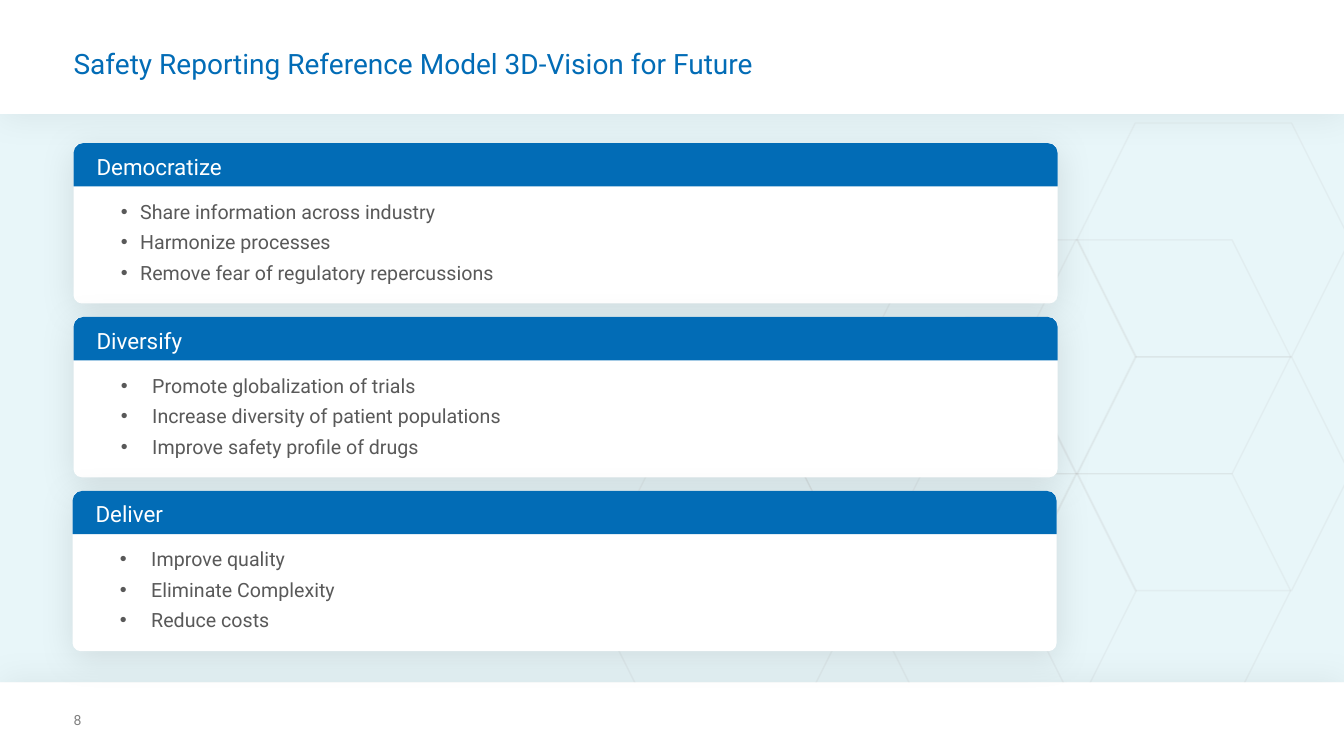
import dataclasses
import pptx
import pptx.util
import pptx.dml.color
import pptx.enum.shapes
import pptx.enum.text
import pptx.oxml
from pptx.oxml import ns

Inches = pptx.util.Inches
Pt = pptx.util.Pt
MSO_SHAPE = pptx.enum.shapes.MSO_SHAPE
ANCHOR = pptx.enum.text.MSO_ANCHOR


@dataclasses.dataclass(frozen=True)
class Theme:
    font: str = "Roboto"
    blue: str = "026CB6"
    pale: str = "E8F6F9"
    white: str = "FFFFFF"
    body: str = "595959"
    muted: str = "808080"
    outline: str = "BFBFBF"
    title_size: int = 20
    heading_size: int = 16
    body_size: int = 14
    number_size: int = 10
    body_leading: float = 21.8


THEME = Theme()

HEXAGONS = [
    (10.09, 2.38), (8.56, 2.38), (7.97, 3.54), (8.56, 4.7),
    (10.09, 4.7), (10.68, 3.54), (5.84, 4.7), (10.68, 1.22),
]
CARDS = [
    ("Democratize", 0.73, 0.19, [
        "Share information across industry",
        "Harmonize processes",
        "Remove fear of regulatory repercussions",
    ]),
    ("Diversify", 0.73, 0.31, [
        "Promote globalization of trials",
        "Increase diversity of patient populations",
        "Improve safety profile of drugs",
    ]),
    ("Deliver", 0.72, 0.31, [
        "Improve quality",
        "Eliminate Complexity",
        "Reduce costs",
    ]),
]
CARD_TOP, CARD_PITCH = 1.42, 1.725


def rgb(value):
    return pptx.dml.color.RGBColor.from_string(value)


def set_all(target, values):
    for name, value in values.items():
        setattr(target, name, value)


def add_shape(s, kind, box, fill, adjustments=()):
    sp = s.shapes.add_shape(kind, *map(Inches, box))
    sp.shadow.inherit = False
    sp.line.fill.background()
    sp.fill.solid()
    sp.fill.fore_color.rgb = rgb(fill)
    for i, value in enumerate(adjustments):
        sp.adjustments[i] = value
    return sp


def add_shadow(sp, opacity, distance, angle):
    effects = sp._element.spPr.find(ns.qn("a:effectLst"))
    effects.append(pptx.oxml.parse_xml(
        f'<a:outerShdw {ns.nsdecls("a")} blurRad="{Pt(24)}" dist="{Pt(distance)}" '
        f'dir="{angle * 60000}" algn="ctr" rotWithShape="0">'
        f'<a:srgbClr val="000000"><a:alpha val="{opacity * 1000}"/></a:srgbClr>'
        '</a:outerShdw>'))


def add_hexagon(s, left, top):
    sp = add_shape(s, MSO_SHAPE.HEXAGON, (left, top, 2.71, 2.32), THEME.pale)
    sp.fill.background()
    set_all(sp.line, {"width": Pt(1)})
    sp.line.color.rgb = rgb(THEME.outline)
    color = sp.line._ln.find(".//" + ns.qn("a:srgbClr"))
    color.append(pptx.oxml.parse_xml(f'<a:alpha {ns.nsdecls("a")} val="14000"/>'))


def set_bullet(p, indent):
    pPr = p._p.get_or_add_pPr()
    pPr.set("marL", str(Inches(indent)))
    pPr.set("indent", str(-Inches(indent)))
    for xml in ('<a:buFont {} typeface="Arial"/>', '<a:buChar {} char="•"/>'):
        pPr.append(pptx.oxml.parse_xml(xml.format(ns.nsdecls("a"))))


def write(sp, lines, size, color, anchor=ANCHOR.TOP, left=0, indent=None, leading=None):
    tf = sp.text_frame
    set_all(tf, {
        "word_wrap": True, "auto_size": pptx.enum.text.MSO_AUTO_SIZE.NONE,
        "vertical_anchor": anchor, "margin_left": Inches(left),
        "margin_right": 0, "margin_top": 0, "margin_bottom": 0,
    })
    for i, line in enumerate(lines):
        p = tf.paragraphs[0] if i == 0 else tf.add_paragraph()
        set_all(p, {"alignment": pptx.enum.text.PP_ALIGN.LEFT, "line_spacing": leading})
        if indent:
            set_bullet(p, indent)
        r = p.add_run()
        r.text = line
        set_all(r.font, {"name": THEME.font, "size": Pt(size)})
        r.font.color.rgb = rgb(color)


def add_text(s, box, lines, size, color, **options):
    sp = s.shapes.add_textbox(*map(Inches, box))
    write(sp, lines, size, color, **options)


def add_title(s, text):
    sp = s.shapes.title
    set_all(sp, {"left": Inches(0.73), "top": Inches(0.5),
                 "width": Inches(11.5), "height": Inches(0.63)})
    write(sp, [text], THEME.title_size, THEME.blue, leading=0.9)
    s.shapes._spTree.append(sp._element)


def add_backdrop(s):
    add_shape(s, MSO_SHAPE.RECTANGLE, (0, 1.13, 13.33, 5.64), THEME.pale)
    header = add_shape(s, MSO_SHAPE.RECTANGLE, (0, 0, 13.33, 1.13), THEME.white)
    add_shadow(header, 6, 3, 90)
    for left, top in HEXAGONS:
        add_hexagon(s, left, top)
    footer = add_shape(s, MSO_SHAPE.RECTANGLE, (0, 6.77, 13.33, 0.73), THEME.white)
    add_shadow(footer, 6, 3, 270)


def add_card(s, top, heading, left, indent, items):
    panel = add_shape(s, MSO_SHAPE.ROUNDED_RECTANGLE, (left, top, 9.76, 1.59),
                      THEME.white, [0.051])
    add_shadow(panel, 10, 4, 90)
    band = add_shape(s, MSO_SHAPE.ROUND_2_SAME_RECTANGLE, (left, top, 9.76, 0.43),
                     THEME.blue, [0.226, 0])
    write(band, [heading], THEME.heading_size, THEME.white, anchor=ANCHOR.MIDDLE, left=0.2)
    add_text(s, (left + 0.47, top + 0.29, 11.08, 1.31), items, THEME.body_size, THEME.body,
             anchor=ANCHOR.MIDDLE, indent=indent, leading=Pt(THEME.body_leading))


def main():
    prs = pptx.Presentation()
    set_all(prs, {"slide_width": Inches(13.33), "slide_height": Inches(7.5)})
    s = prs.slides.add_slide(prs.slide_layouts[5])
    add_backdrop(s)
    add_title(s, "Safety Reporting Reference Model 3D-Vision for Future")
    add_text(s, (0.73, 7.06, 0.47, 0.16), ["8"], THEME.number_size, THEME.muted)
    for i, card in enumerate(CARDS):
        add_card(s, CARD_TOP + i * CARD_PITCH, *card)
    prs.save("out.pptx")


if __name__ == "__main__":
    main()
